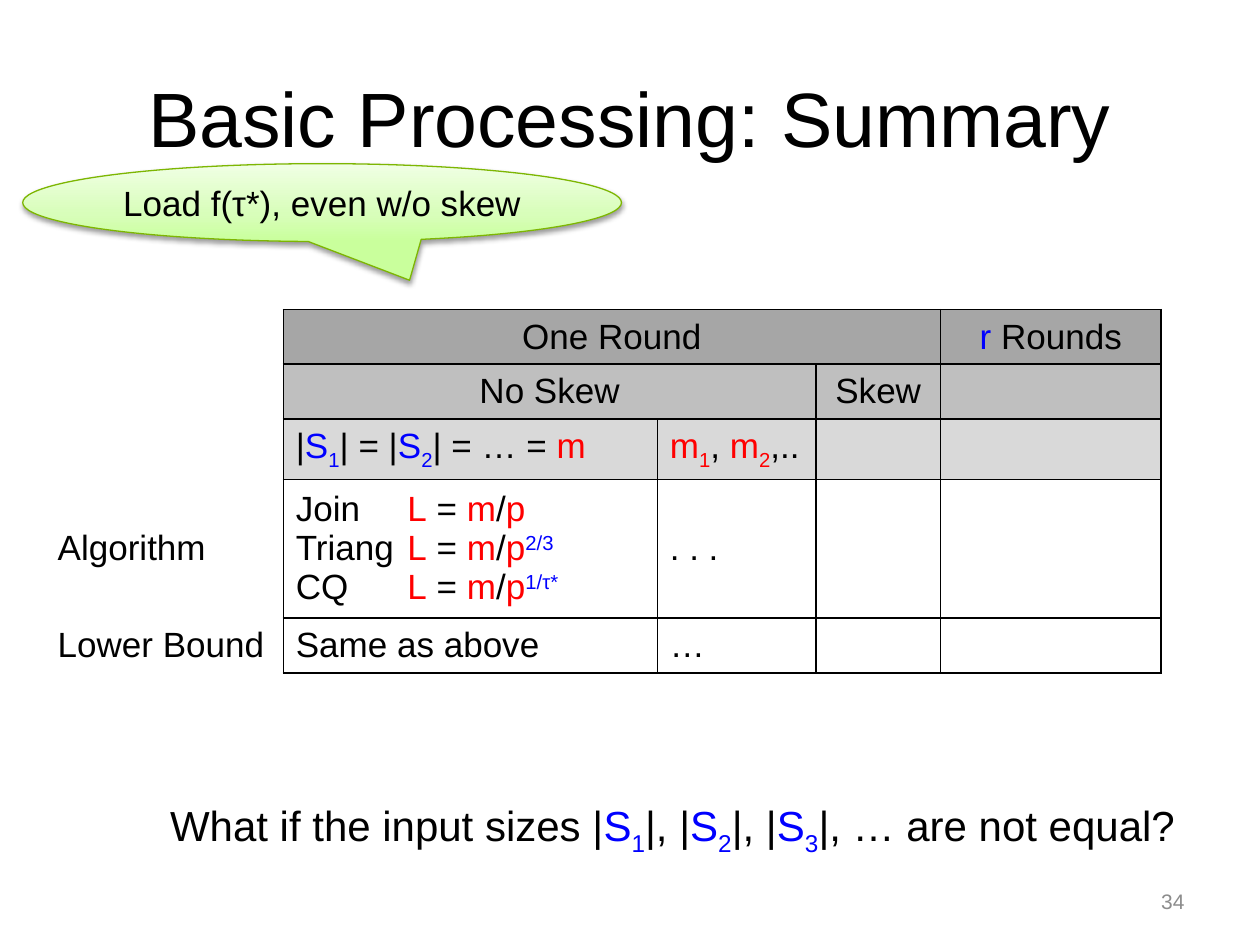
from copy import deepcopy

from lxml import etree
from pptx import Presentation
from pptx.dml.color import RGBColor
from pptx.enum.shapes import MSO_SHAPE
from pptx.enum.text import MSO_ANCHOR, PP_ALIGN
from pptx.oxml.ns import qn
from pptx.util import Cm, Pt

BLACK = RGBColor(0x00, 0x00, 0x00)
BLUE = RGBColor(0x00, 0x00, 0xFF)
RED = RGBColor(0xFF, 0x00, 0x00)
NUMBER_GRAY = RGBColor(0x8C, 0x8C, 0x8C)
ROUNDS_GRAY = RGBColor(0xA6, 0xA6, 0xA6)
SKEW_GRAY = RGBColor(0xBF, 0xBF, 0xBF)
SIZES_GRAY = RGBColor(0xD9, 0xD9, 0xD9)
CALLOUT_LINE = RGBColor(0x7D, 0xB6, 0x02)
CALLOUT_STOPS = [
    (0, RGBColor(0xC9, 0xFF, 0x9C)),
    (0.35, RGBColor(0xD8, 0xFE, 0xBA)),
    (1, RGBColor(0xF0, 0xFF, 0xE4)),
]

LEFT, CENTER, RIGHT = PP_ALIGN.LEFT, PP_ALIGN.CENTER, PP_ALIGN.RIGHT
TOP, MIDDLE = MSO_ANCHOR.TOP, MSO_ANCHOR.MIDDLE
CALLOUT = MSO_SHAPE.OVAL_CALLOUT

FONT = "Arial"
SUBSCRIPT, SUPERSCRIPT = -25000, 30000
TITLE_ONLY = 5

COLUMN_WIDTHS = [4.8, 7.54, 3.2, 2.51, 4.45]
ROW_HEIGHTS = [1.1, 1.1, 1.22, 2.79, 1.1]
ROW_FILLS = [ROUNDS_GRAY, SKEW_GRAY, SIZES_GRAY, None, None]
FORMULA_TAB = 2.25


def plain(text, color=BLACK):
    return [(text, color, 0)]


def indexed(name, index, color):
    return [(name, color, 0), (index, color, SUBSCRIPT)]


def load(query, exponent=""):
    runs = (plain(query + "\t") + plain("L", RED) + plain(" = ")
            + plain("m", RED) + plain("/") + plain("p", RED))
    if exponent:
        runs.append((exponent, BLUE, SUPERSCRIPT))
    return runs


def write(paragraph, runs, size, alignment=LEFT):
    paragraph.alignment = alignment
    for text, color, baseline in runs:
        run = paragraph.add_run()
        run.text = text
        run.font.name = FONT
        run.font.size = Pt(size)
        run.font.color.rgb = color
        if baseline:
            run._r.get_or_add_rPr().set("baseline", str(baseline))


def add_tab(paragraph, position):
    tabs = etree.SubElement(paragraph._p.get_or_add_pPr(), qn("a:tabLst"))
    etree.SubElement(tabs, qn("a:tab"), pos=str(Cm(position)), algn="l")


def add_text(slide, box, runs, size, alignment=LEFT, anchor=TOP, wrap=True):
    shape = slide.shapes.add_textbox(*[Cm(length) for length in box])
    frame = shape.text_frame
    frame.word_wrap = wrap
    frame.vertical_anchor = anchor
    write(frame.paragraphs[0], runs, size, alignment)


def set_title(slide, text):
    title = slide.shapes.title
    title.left, title.top = Cm(1.27), Cm(0.76)
    title.width, title.height = Cm(22.86), Cm(3.18)
    title.text_frame.vertical_anchor = MIDDLE
    write(title.text_frame.paragraphs[0], plain(text), 44, CENTER)


def add_borders(cell, sides):
    properties = cell._tc.get_or_add_tcPr()
    for side in sides:
        line = etree.SubElement(properties, qn(f"a:ln{side}"), w=str(Pt(1)))
        fill = etree.SubElement(line, qn("a:solidFill"))
        etree.SubElement(fill, qn("a:srgbClr"), val=str(BLACK))


def format_cell(cell, row, column):
    cell.vertical_anchor = MIDDLE
    add_borders(cell, "LRTB" if column else "R")
    if column and ROW_FILLS[row]:
        cell.fill.solid()
        cell.fill.fore_color.rgb = ROW_FILLS[row]
    else:
        cell.fill.background()


def fill_cell(cell, lines, alignment=LEFT):
    frame = cell.text_frame
    for number, runs in enumerate(lines):
        paragraph = frame.add_paragraph() if number else frame.paragraphs[0]
        if any("\t" in text for text, _, _ in runs):
            add_tab(paragraph, FORMULA_TAB)
        write(paragraph, runs, 20, alignment)


def add_summary_table(slide):
    table = slide.shapes.add_table(
        len(ROW_HEIGHTS), len(COLUMN_WIDTHS), Cm(0.91), Cm(6.24),
        Cm(sum(COLUMN_WIDTHS)), Cm(sum(ROW_HEIGHTS))).table
    table.first_row = table.horz_banding = False
    for column, width in zip(table.columns, COLUMN_WIDTHS):
        column.width = Cm(width)
    for row, height in zip(table.rows, ROW_HEIGHTS):
        row.height = Cm(height)
    for row in range(len(ROW_HEIGHTS)):
        for column in range(len(COLUMN_WIDTHS)):
            format_cell(table.cell(row, column), row, column)
    table.cell(0, 1).merge(table.cell(0, 3))
    table.cell(1, 1).merge(table.cell(1, 2))

    headings = {
        (0, 1): plain("One Round"),
        (0, 4): plain("r ", BLUE) + plain("Rounds"),
        (1, 1): plain("No Skew"),
        (1, 3): plain("Skew"),
    }
    equal_sizes = (plain("|") + indexed("S", "1", BLUE) + plain("| = |")
                   + indexed("S", "2", BLUE) + plain("| = … = ")
                   + plain("m", RED))
    different_sizes = (indexed("m", "1", RED) + plain(",")
                       + indexed(" m", "2", RED) + plain(",.."))
    entries = {
        (2, 1): [equal_sizes],
        (2, 2): [different_sizes],
        (3, 0): [plain("Algorithm")],
        (3, 1): [load("Join"), load("Triang", "2/3"), load("CQ", "1/τ*")],
        (3, 2): [plain(". . .")],
        (4, 0): [plain("Lower Bound")],
        (4, 1): [plain("Same as above")],
        (4, 2): [plain("…")],
    }
    for position, runs in headings.items():
        fill_cell(table.cell(*position), [runs], CENTER)
    for position, lines in entries.items():
        fill_cell(table.cell(*position), lines)


def add_shadow(shape):
    shape.shadow.inherit = False
    effects = shape._element.spPr.find(qn("a:effectLst"))
    shadow = etree.SubElement(
        effects, qn("a:outerShdw"), blurRad=str(Pt(3.1)), dist=str(Pt(1.6)),
        dir="5400000", rotWithShape="0")
    color = etree.SubElement(shadow, qn("a:srgbClr"), val=str(BLACK))
    etree.SubElement(color, qn("a:alpha"), val="38000")


def add_callout(slide, text):
    shape = slide.shapes.add_shape(CALLOUT, Cm(0.46), Cm(3.3), Cm(12.07), Cm(1.57))
    shape.adjustments[0], shape.adjustments[1] = 0.146, 0.997
    shape.fill.gradient()
    shape.fill.gradient_angle = 90
    stop_list = shape._element.spPr.find(".//" + qn("a:gsLst"))
    stop_list.append(deepcopy(stop_list[0]))
    for stop, (position, color) in zip(shape.fill.gradient_stops, CALLOUT_STOPS):
        stop.position = position
        stop.color.rgb = color
    shape.line.color.rgb = CALLOUT_LINE
    shape.line.width = Pt(0.75)
    add_shadow(shape)
    frame = shape.text_frame
    frame.word_wrap = False
    frame.vertical_anchor = MIDDLE
    write(frame.paragraphs[0], plain(text), 20, CENTER)


def main():
    presentation = Presentation()
    presentation.slide_width, presentation.slide_height = Cm(25.4), Cm(19.05)
    slide = presentation.slides.add_slide(presentation.slide_layouts[TITLE_ONLY])
    set_title(slide, "Basic Processing: Summary")
    add_text(slide, (18.2, 17.66, 5.93, 1.01), plain("34", NUMBER_GRAY), 12,
             RIGHT, MIDDLE)
    question = plain("What if the input sizes |")
    for index, following in zip("123", ("|, |", "|, |", "|, … are not equal?")):
        question += indexed("S", index, BLUE) + plain(following)
    add_text(slide, (3.18, 16, 20.96, 1.27), question, 24, wrap=False)
    add_summary_table(slide)
    add_callout(slide, "Load f(τ*), even w/o skew")
    presentation.save("out.pptx")


if __name__ == "__main__":
    main()
